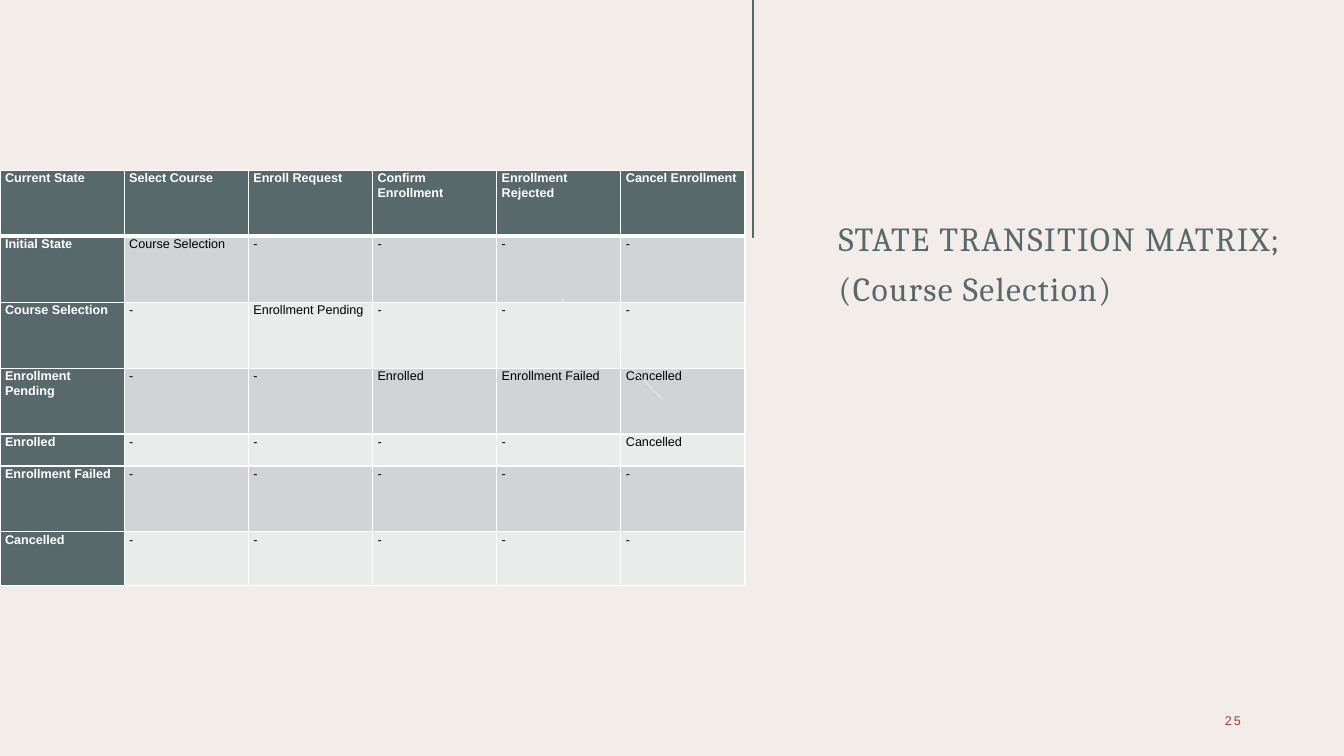
"""Build the state transition matrix slide for course selection."""
from lxml.etree import SubElement
from pptx import Presentation
from pptx.dml.color import RGBColor
from pptx.enum.shapes import MSO_CONNECTOR
from pptx.enum.text import MSO_ANCHOR, PP_ALIGN
from pptx.oxml.ns import qn
from pptx.util import Pt

TITLE = "STATE TRANSITION MATRIX;\v(Course Selection)"
PAGE_NUMBER = "25"
EVENTS = ["Current State", "Select Course", "Enroll Request", "Confirm Enrollment",
          "Enrollment Rejected", "Cancel Enrollment"]
TRANSITIONS = [
    ("Initial State", {"Select Course": "Course Selection"}),
    ("Course Selection", {"Enroll Request": "Enrollment Pending"}),
    ("Enrollment Pending", {"Confirm Enrollment": "Enrolled",
                            "Enrollment Rejected": "Enrollment Failed",
                            "Cancel Enrollment": "Cancelled"}),
    ("Enrolled", {"Cancel Enrollment": "Cancelled"}),
    ("Enrollment Failed", {}),
    ("Cancelled", {}),
]
ROW_HEIGHTS = [47.1, 47.1, 47.1, 47.1, 22.8, 47.1, 38.2]
COLUMN_WIDTH = 88.7

SLATE = RGBColor(0x58, 0x69, 0x6B)
CREAM = RGBColor(0xF3, 0xED, 0xEA)
RUST = RGBColor(0x9B, 0x3D, 0x2B)
GREY = RGBColor(0xD1, 0xD4, 0xD4)
PALE = RGBColor(0xEA, 0xEB, 0xEB)
WHITE = RGBColor(0xFF, 0xFF, 0xFF)
BLACK = RGBColor(0, 0, 0)


def format_runs(paragraph, font_name, size, color, bold=False, spacing=0):
    for run in paragraph.runs:
        run.font.name = font_name
        run.font.size = Pt(size)
        run.font.color.rgb = color
        run.font.bold = bold
        run.font._element.set("spc", str(int(spacing * 100)))


def add_line(slide, start, end, color, width):
    line = slide.shapes.add_connector(MSO_CONNECTOR.STRAIGHT, *map(Pt, start + end))
    line.line.color.rgb = color
    line.line.width = Pt(width)
    SubElement(line._element.spPr, qn("a:effectLst"))


def add_borders(cell, widths):
    properties = cell._tc.get_or_add_tcPr()
    for side, width in zip("LRTB", widths):
        border = SubElement(properties, qn(f"a:ln{side}"), w=str(Pt(width)))
        fill = SubElement(border, qn("a:solidFill"))
        SubElement(fill, qn("a:srgbClr"), val=str(WHITE))


def format_cell(cell, text, row, column):
    heading = row == 0 or column == 0
    cell.text_frame.text = text
    cell.margin_left = cell.margin_right = Pt(3.6)
    cell.margin_top = cell.margin_bottom = 0
    cell.vertical_anchor = MSO_ANCHOR.TOP
    paragraph = cell.text_frame.paragraphs[0]
    paragraph.line_spacing = 1.07
    format_runs(paragraph, "Arial", 9, WHITE if heading else BLACK, heading)
    add_borders(cell, (1, 1, 3 if row == 1 else 1, 3 if row == 0 else 1))
    cell.fill.solid()
    cell.fill.fore_color.rgb = SLATE if heading else (GREY if row % 2 else PALE)


def add_matrix(slide):
    rows = [EVENTS] + [[state] + [targets.get(event, "-") for event in EVENTS[1:]]
                       for state, targets in TRANSITIONS]
    matrix = slide.shapes.add_table(
        len(rows), len(EVENTS), 0, Pt(121.7),
        Pt(COLUMN_WIDTH * len(EVENTS)), Pt(sum(ROW_HEIGHTS))).table
    for column in matrix.columns:
        column.width = Pt(COLUMN_WIDTH)
    for row, texts in enumerate(rows):
        matrix.rows[row].height = Pt(ROW_HEIGHTS[row])
        for column, text in enumerate(texts):
            format_cell(matrix.cell(row, column), text, row, column)


def add_title(slide):
    title = slide.shapes.title
    title.left, title.top, title.width, title.height = map(Pt, (591.8, 163.4, 337.7, 41.8))
    frame = title.text_frame
    frame.text = TITLE
    frame.word_wrap = True
    frame.vertical_anchor = MSO_ANCHOR.MIDDLE
    paragraph = frame.paragraphs[0]
    paragraph.alignment = PP_ALIGN.LEFT
    paragraph.line_spacing = 1.25
    format_runs(paragraph, "Cambria", 24, SLATE, spacing=1)


def add_page_number(slide):
    frame = slide.shapes.add_textbox(*map(Pt, (827.3, 500.4, 66.2, 28.8))).text_frame
    frame.text = PAGE_NUMBER
    frame.word_wrap = True
    frame.vertical_anchor = MSO_ANCHOR.MIDDLE
    paragraph = frame.paragraphs[0]
    paragraph.alignment = PP_ALIGN.RIGHT
    format_runs(paragraph, "Arial", 9, RUST, spacing=1.5)


def main():
    deck = Presentation()
    deck.slide_width, deck.slide_height = Pt(960), Pt(540)
    slide = deck.slides.add_slide(deck.slide_layouts[5])
    slide.background.fill.solid()
    slide.background.fill.fore_color.rgb = CREAM
    add_line(slide, (537.8, 0), (537.8, 170), SLATE, 1.5)
    add_title(slide)
    add_matrix(slide)
    add_page_number(slide)
    add_line(slide, (401, 213), (473, 285), CREAM, 0.5)
    deck.save("out.pptx")


if __name__ == "__main__":
    main()
